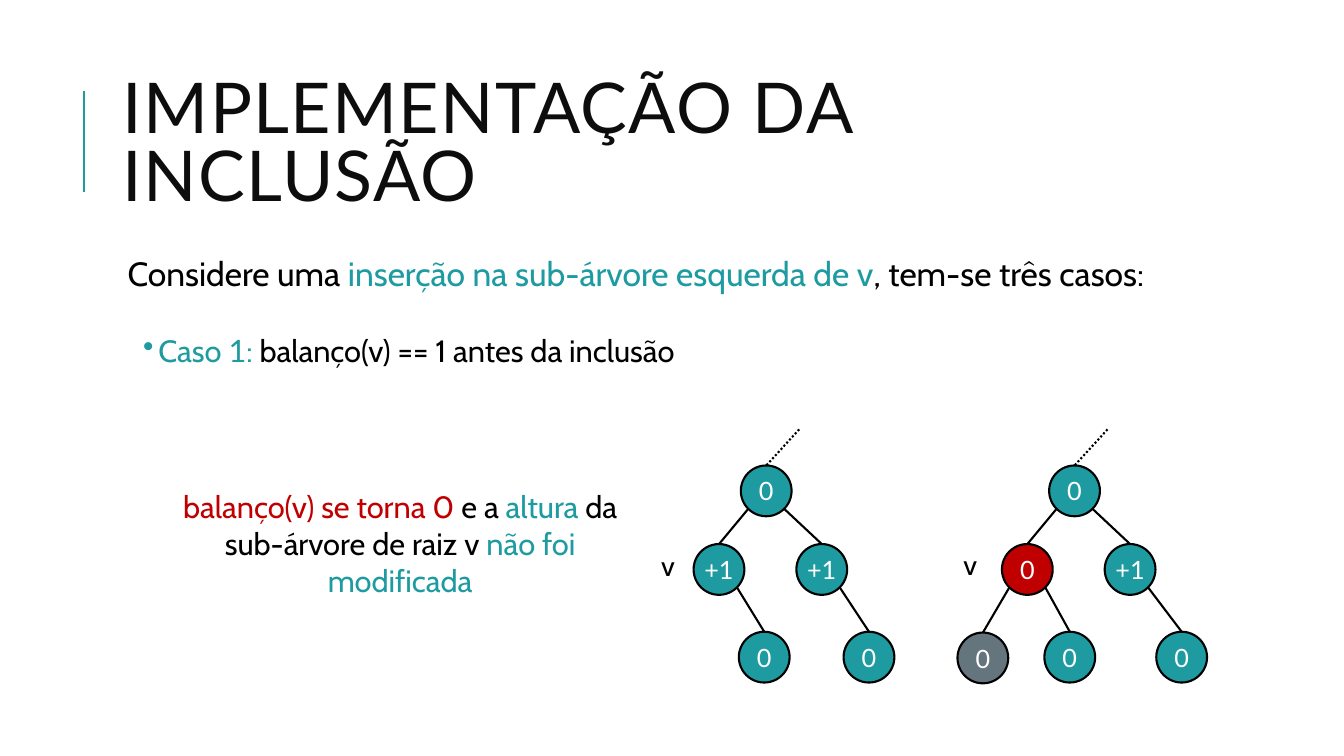
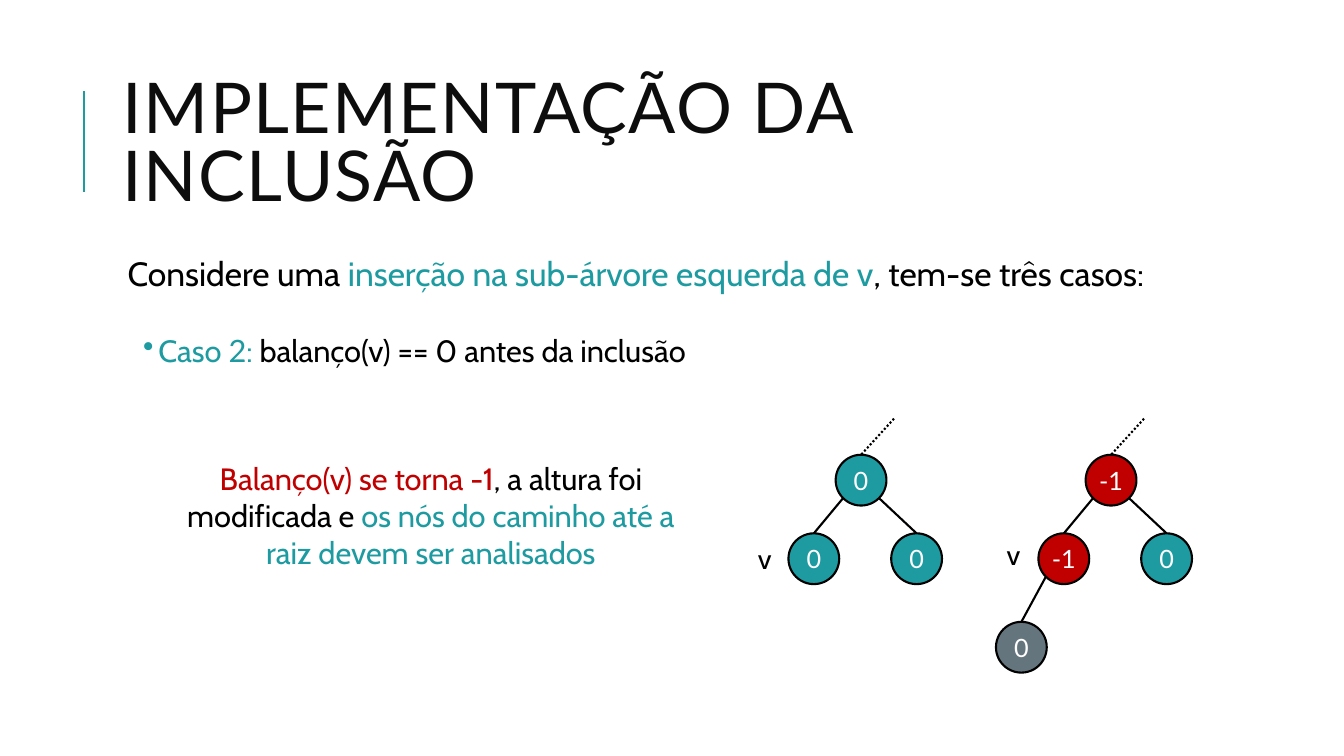
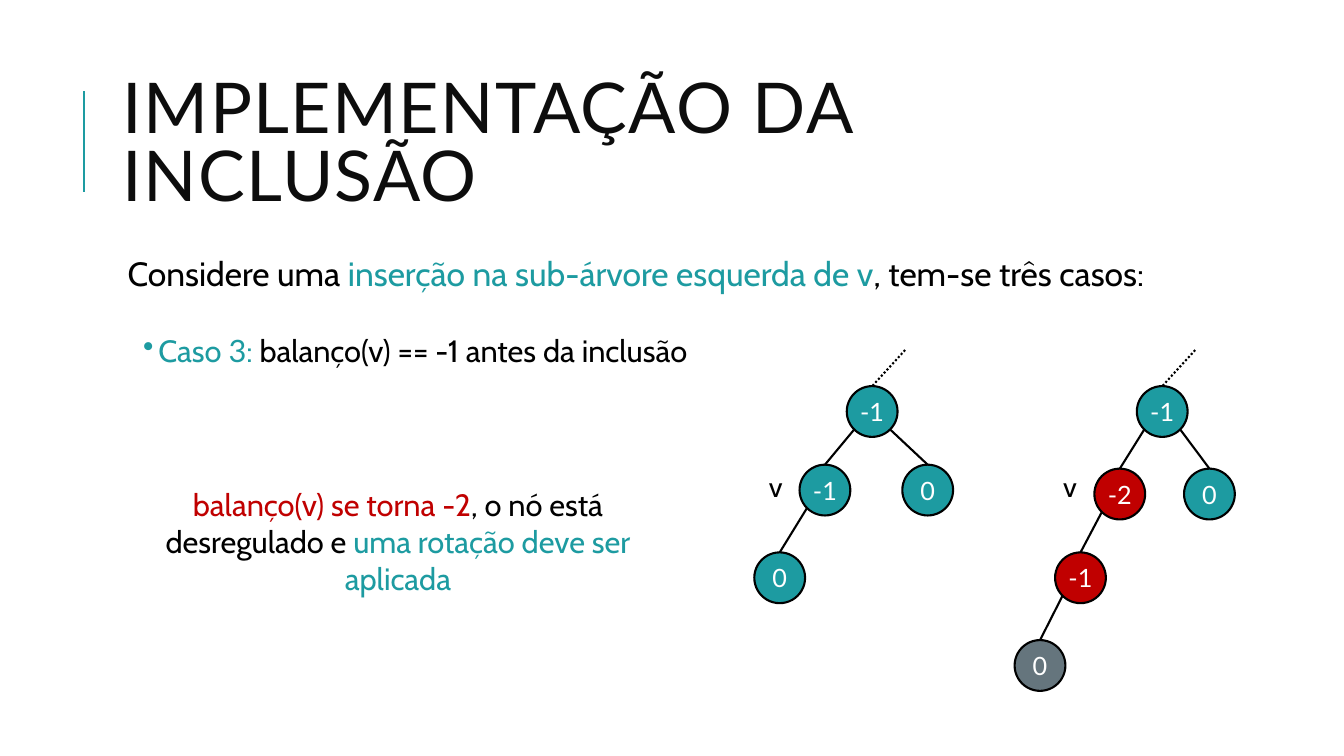
from dataclasses import dataclass
from math import sqrt

from lxml import etree
from pptx import Presentation
from pptx.dml.color import RGBColor
from pptx.enum.dml import MSO_LINE
from pptx.enum.shapes import MSO_CONNECTOR, MSO_SHAPE
from pptx.enum.text import MSO_ANCHOR, MSO_AUTO_SIZE, PP_ALIGN
from pptx.oxml.ns import qn
from pptx.util import Cm, Pt

STRAIGHT, OVAL = MSO_CONNECTOR.STRAIGHT, MSO_SHAPE.OVAL
LEFT, CENTER = PP_ALIGN.LEFT, PP_ALIGN.CENTER
MIDDLE, NO_FIT = MSO_ANCHOR.MIDDLE, MSO_AUTO_SIZE.NONE
DOTTED = MSO_LINE.ROUND_DOT

# Shared style
TEAL, RED, GREY = "1D9BA1", "C00000", "65757D"
BLACK, WHITE, INK = "000000", "FFFFFF", "0D0D0D"
TITLE_FONT, BODY_FONT = "Lato", "Cabin"
TITLE = "IMPLEMENTAÇÃO DA INCLUSÃO"
NODE = 1.28                       # diameter of a tree node, cm
DIAGONAL = NODE / 2 / sqrt(2)     # centre to the 45° point of its rim
STALK_DX, STALK_DY = 0.83, -0.91  # dotted link towards the rest of the tree


def rgb(hex_code):
    return RGBColor.from_string(hex_code)


@dataclass
class Node:
    """A tree node; dx and dy are measured from its parent, in cm."""
    value: str
    dx: float = 0
    dy: float = 0
    fill: str = TEAL
    children: tuple = ()


class Deck:
    def __init__(self):
        self.prs = Presentation()
        self.prs.slide_width, self.prs.slide_height = Cm(33.87), Cm(19.05)
        self.slide = None

    def new_slide(self):
        self.slide = self.prs.slides.add_slide(self.prs.slide_layouts[5])
        self.line(2.11, 4.83, 2.11, 2.29, TEAL)
        title = self.slide.shapes.title
        title.left, title.top = Cm(2.84), Cm(1.63)
        title.width, title.height = Cm(27), Cm(4.17)
        frame = title.text_frame
        frame.word_wrap, frame.auto_size = True, NO_FIT
        frame.vertical_anchor = MIDDLE
        paragraph = frame.paragraphs[0]
        paragraph.line_spacing = 0.8
        self.add_runs(paragraph, [(TITLE, INK)], 50, TITLE_FONT, LEFT)
        paragraph.runs[0].font._element.set("spc", "100")

    def add_runs(self, paragraph, pieces, size, font=BODY_FONT, align=LEFT):
        """Pieces are (text, colour) or (text, colour, font)."""
        paragraph.alignment = align
        paragraph.font.size, paragraph.font.name = Pt(size), font
        for text, color, *own_font in pieces:
            run = paragraph.add_run()
            run.text = text
            run.font.color.rgb = rgb(color)
            if own_font:
                run.font.name = own_font[0]

    def text(self, x, y, width, height, pieces, size, align=LEFT, wrap=True):
        box = self.slide.shapes.add_textbox(Cm(x), Cm(y), Cm(width), Cm(height))
        box.text_frame.word_wrap = wrap
        self.add_runs(box.text_frame.paragraphs[0], pieces, size, align=align)
        return box.text_frame

    def indent(self, paragraph, margin, first, bullet_color=None):
        properties = paragraph._p.get_or_add_pPr()
        properties.set("marL", str(Cm(margin)))
        properties.set("indent", str(Cm(first)))
        if bullet_color:
            color = etree.Element(qn("a:buClr"))
            etree.SubElement(color, qn("a:srgbClr")).set("val", bullet_color)
            char = etree.Element(qn("a:buChar"))
            char.set("char", "•")
            properties.extend([color, char])

    def case(self, number, condition):
        intro = [("Considere uma ", BLACK),
                 ("inserção na sub-árvore esquerda de v", TEAL),
                 (", tem-se três casos:", BLACK)]
        frame = self.text(2.84, 6.35, 27, 11.18, intro, 24)
        frame.margin_left = frame.margin_right = Cm(0.13)
        frame.margin_top = frame.margin_bottom = Cm(0.13)
        opening, item = frame.paragraphs[0], frame.add_paragraph()
        self.indent(opening, 0.25, 0)
        self.indent(item, 1.02, -0.38, TEAL)
        self.add_runs(item, [("Caso ", TEAL), (number, TEAL, TITLE_FONT),
                             (": ", TEAL), (condition, BLACK)], 22)
        for paragraph, before, after in ((opening, 12, 28), (item, 2, 4)):
            paragraph.line_spacing = 0.9
            paragraph.space_before, paragraph.space_after = Pt(before), Pt(after)

    def line(self, x1, y1, x2, y2, color=BLACK, dash=None):
        link = self.slide.shapes.add_connector(
            STRAIGHT, Cm(x1), Cm(y1), Cm(x2), Cm(y2))
        link.line.color.rgb, link.line.width = rgb(color), Pt(1.5)
        if dash:
            link.line.dash_style = dash
        etree.SubElement(link._element.spPr, qn("a:effectLst"))
        return link

    def circle(self, x, y, value, fill):
        circle = self.slide.shapes.add_shape(OVAL, Cm(x), Cm(y), Cm(NODE), Cm(NODE))
        circle.shadow.inherit = False
        circle.fill.solid()
        circle.fill.fore_color.rgb = rgb(fill)
        circle.line.color.rgb, circle.line.width = rgb(BLACK), Pt(1.5)
        frame = circle.text_frame
        frame.margin_left = frame.margin_right = 0
        frame.margin_top = frame.margin_bottom = 0
        frame.vertical_anchor = MIDDLE
        self.add_runs(frame.paragraphs[0], [(value, WHITE)], 18, TITLE_FONT, CENTER)
        return circle

    def branch(self, node, x, y):
        """Draw a node with its top left at x, y, then all below it."""
        circle = self.circle(x, y, node.value, node.fill)
        for child in node.children:
            child_x, child_y = x + child.dx, y + child.dy
            side = DIAGONAL if child.dx > 0 else -DIAGONAL
            edge = self.line(x + NODE / 2 + side, y + NODE / 2 + DIAGONAL,
                             child_x + NODE / 2, child_y)
            edge.end_connect(self.branch(child, child_x, child_y), 0)
        return circle

    def tree(self, x, y, root, v_x, v_y):
        self.branch(root, x, y)
        top = x + NODE / 2
        self.line(top + STALK_DX, y + STALK_DY, top, y, dash=DOTTED)
        self.text(v_x, v_y, 0.81, 1.11, [("v", BLACK)], 20, wrap=False)


def pair(left, right, left_fill=TEAL, below_left=(), below_right=()):
    """The two usual children of a root."""
    return (Node(left, -1.19, 1.98, left_fill, below_left),
            Node(right, 1.4, 1.98, TEAL, below_right))


deck = Deck()

# Case 1: v becomes balanced
deck.new_slide()
deck.case("1", "balanço(v) == 1 antes da inclusão")
deck.text(4.14, 12.17, 11.89, 3.07, [
    ("balanço(v) se torna 0 ", RED), ("e a ", BLACK), ("altura", TEAL),
    (" da sub-árvore de raiz v ", BLACK), ("não foi modificada", TEAL)], 22, CENTER)
deck.tree(18.67, 11.73, Node("0", children=pair(
    "+1", "+1", below_left=(Node("0", 1.14, 2.21),),
    below_right=(Node("0", 1.19, 2.21),))), 16.41, 13.69)
deck.tree(26.44, 11.73, Node("0", children=pair(
    "0", "+1", RED,
    below_left=(Node("0", -1.12, 2.23, GREY), Node("0", 1.07, 2.21)),
    below_right=(Node("0", 1.3, 2.21),))), 24.03, 13.67)

# Case 2: the height changes
deck.new_slide()
deck.case("2", "balanço(v) == 0 antes da inclusão")
deck.text(4.32, 11.46, 13.08, 3.07, [
    ("Balanço(v) se torna -1", RED), (", a altura foi modificada e ", BLACK),
    ("os nós do caminho até a raiz devem ser analisados", TEAL)], 22, CENTER)
deck.tree(21.06, 11.46, Node("0", children=pair("0", "0")), 18.85, 13.51)
deck.tree(27.36, 11.46, Node("-1", fill=RED, children=pair(
    "-1", "0", RED, below_left=(Node("0", -1.07, 2.23, GREY),))), 25.12, 13.41)

# Case 3: a rotation is needed
deck.new_slide()
deck.case("3", "balanço(v) == -1 antes da inclusão")
deck.text(3.53, 12.12, 13, 3.07, [
    ("balanço(v) se torna -2", RED), (", o nó está desregulado e ", BLACK),
    ("uma rotação deve ser aplicada", TEAL)], 22, CENTER)
deck.tree(21.34, 9.73, Node("-1", children=pair(
    "-1", "0", below_left=(Node("0", -1.14, 2.21),))), 19.13, 11.71)
inserted = Node("0", -1.02, 2.21, GREY)
left_child = Node("-1", -0.99, 2.11, RED, (inserted,))
unbalanced = Node("-2", -1.07, 2.08, RED, (left_child,))
deck.tree(28.65, 9.73, Node("-1", children=(
    unbalanced, Node("0", 1.19, 2.08))), 26.54, 11.71)

deck.prs.save("out.pptx")
